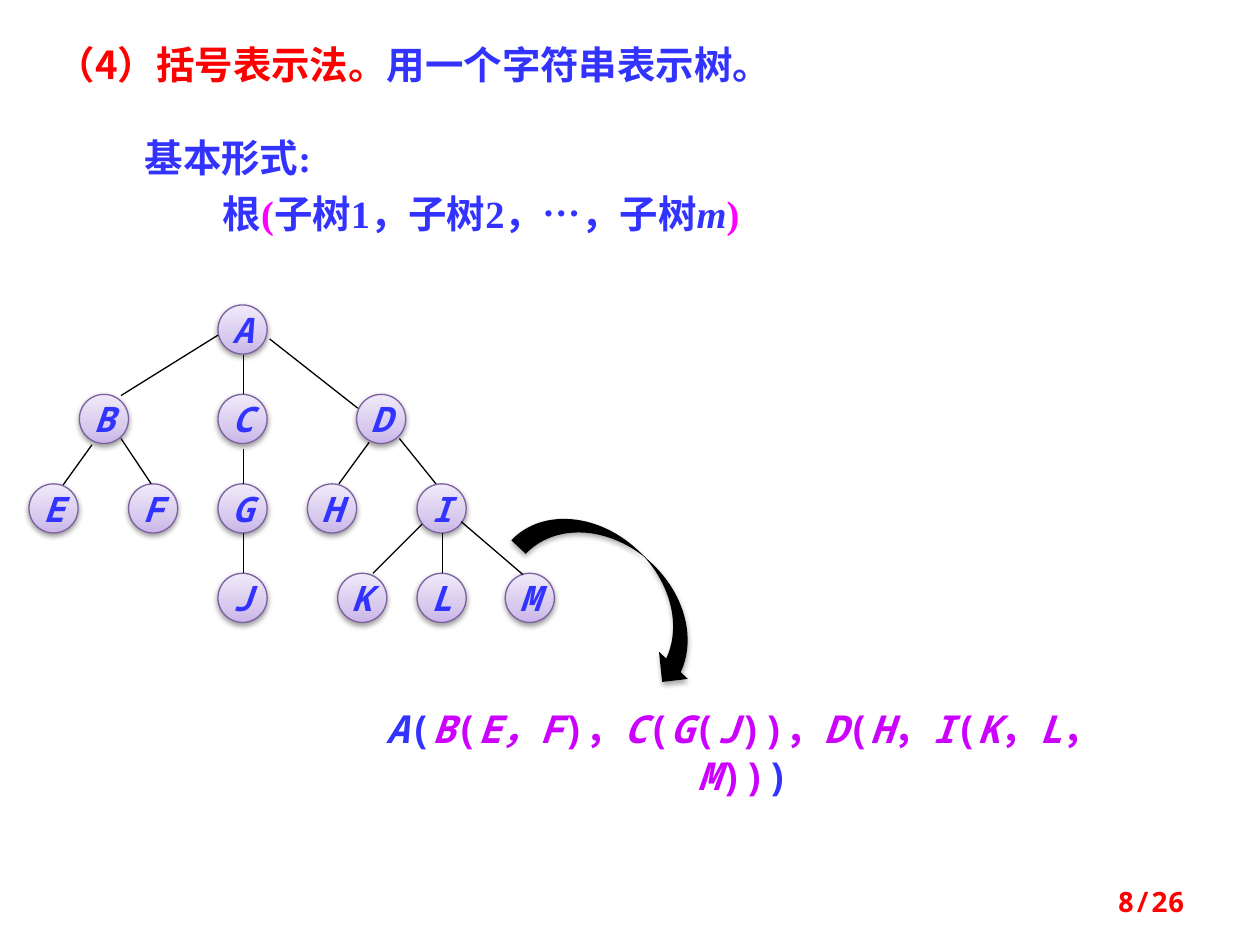
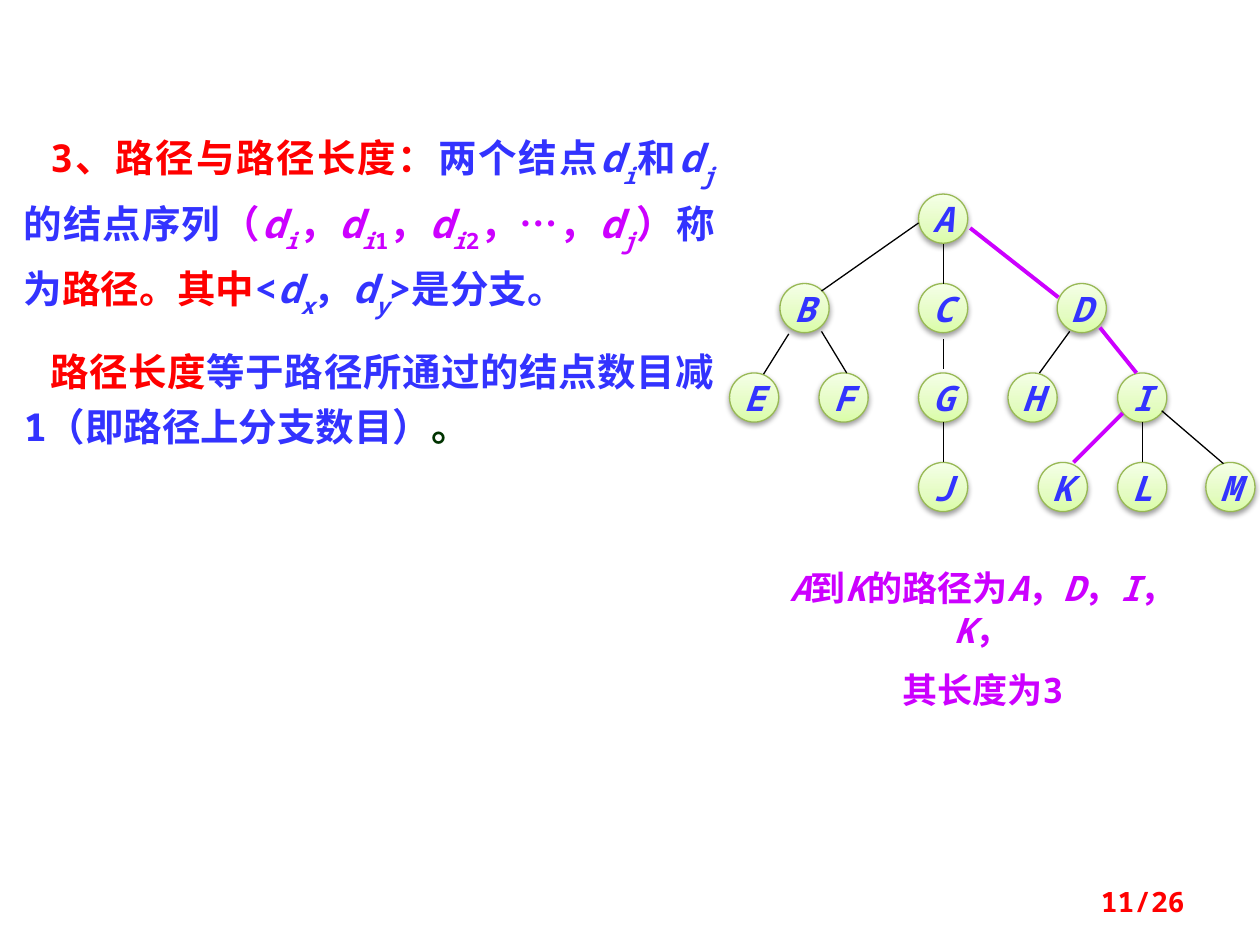
from pptx import Presentation
from pptx.dml.color import RGBColor
from pptx.enum import shapes, text
from pptx.oxml import parse_xml
from pptx.oxml.ns import nsdecls, qn
from pptx.util import Inches, Pt
from lxml import etree

BLUE = RGBColor(0x33, 0x33, 0xFF)
RED = RGBColor(0xFF, 0x00, 0x00)
PURPLE = RGBColor(0xCC, 0x00, 0xFF)
MAGENTA = RGBColor(0xFF, 0x00, 0xFF)
DARK_GREEN = RGBColor(0x00, 0x33, 0x00)
BLACK = RGBColor(0x00, 0x00, 0x00)

CJK, MONO, SERIF = "Noto Sans CJK SC", "Noto Sans Mono", "Times New Roman"
ALIGN = text.PP_ALIGN

# Gradient stops from the bottom up, then the outline
VIOLET_NODE = (("C9B5E8", "D8CBEE", "F0EAF9"), RGBColor(0x7D, 0x60, 0xA0))
GREEN_NODE = (("DAFDA7", "E4FCC2", "F5FFE7"), RGBColor(0x98, 0xB9, 0x55))

NODE_SIZE, LEVEL_STEP = 0.39, 0.71
LEVELS = [
    {"A": 1.5},
    {"B": 0.4, "C": 1.5, "D": 2.6},
    {"E": 0, "F": 0.79, "G": 1.5, "H": 2.21, "I": 3.08},
    {"J": 1.5, "K": 2.45, "L": 3.08, "M": 3.78},
]
# Start and end of each branch, from the top left of the tree
BRANCHES = {
    "AB": (1.5, 0.24, 0.73, 0.72), "AC": (1.7, 0.4, 1.7, 0.71),
    "AD": (1.91, 0.27, 2.61, 0.82), "BE": (0.5, 1.11, 0.27, 1.43),
    "BF": (0.73, 1.06, 0.97, 1.42), "CG": (1.7, 1.14, 1.7, 1.42),
    "GJ": (1.7, 1.81, 1.7, 2.13), "DH": (2.7, 1.09, 2.46, 1.42),
    "DI": (2.94, 1.06, 3.23, 1.42), "IK": (3.12, 1.74, 2.73, 2.13),
    "IL": (3.28, 1.81, 3.28, 2.13), "IM": (3.43, 1.72, 3.92, 2.14),
}
PATH_TREE_BRANCHES = BRANCHES | {
    "AB": (1.5, 0.23, 0.73, 0.77), "BE": (0.47, 1.11, 0.27, 1.43),
    "BF": (0.73, 1.09, 0.93, 1.42), "CG": (1.7, 1.15, 1.7, 1.39),
}


def apply(target, values):
    for name, value in values.items():
        setattr(target, name, value)


def add_run(paragraph, words, color, font=MONO, size=22, italic=False):
    run = paragraph.add_run()
    run.text = words
    apply(run.font, {"name": font, "size": Pt(size), "bold": True, "italic": italic})
    run.font.color.rgb = color
    properties = run._r.get_or_add_rPr()
    etree.SubElement(properties, qn("a:ea")).set("typeface", CJK)
    return run


def write(paragraph, parts, font=MONO, size=22, **formats):
    """Write (colour, words[, font]) parts; | toggles italic, a leading _ lowers a piece."""
    apply(paragraph, formats)
    for color, words, *own_font in parts:
        for index, piece in enumerate(words.split("|")):
            if piece:
                run = add_run(paragraph, piece.removeprefix("_"), color,
                              own_font[0] if own_font else font, size, index % 2 == 1)
                if piece.startswith("_"):
                    run._r.get_or_add_rPr().set("baseline", "-30000")


def add_text(slide, box, paragraphs, anchor=text.MSO_ANCHOR.TOP, **formats):
    """Add a text box; space before applies from its second paragraph on."""
    frame = slide.shapes.add_textbox(*map(Inches, box)).text_frame
    apply(frame, {"word_wrap": True, "vertical_anchor": anchor})
    for index, parts in enumerate(paragraphs):
        paragraph = frame.add_paragraph() if index else frame.paragraphs[0]
        write(paragraph, parts, **formats)
        if index == 0:
            paragraph.space_before = Pt(0)
    return frame


def set_indent(paragraph, **indents):
    for name, inches in indents.items():
        paragraph._p.get_or_add_pPr().set(name, str(Inches(inches)))


def add_shadow(shape, alpha):
    shape.shadow.inherit = False
    shape._element.spPr.find(qn("a:effectLst")).append(parse_xml(
        f'<a:outerShdw {nsdecls("a")} blurRad="40000" dist="20000" dir="5400000" '
        f'rotWithShape="0"><a:srgbClr val="000000"><a:alpha val="{alpha * 1000}"/>'
        '</a:srgbClr></a:outerShdw>'))


def add_node(slide, left, top, letter, style):
    stops, outline = style
    node = slide.shapes.add_shape(shapes.MSO_SHAPE.OVAL, *map(
        Inches, (left, top, NODE_SIZE, NODE_SIZE)))
    gradient = "".join(f'<a:gs pos="{position}000"><a:srgbClr val="{color}"/></a:gs>'
                       for position, color in zip((0, 35, 100), stops))
    node._element.spPr.find(qn("a:prstGeom")).addnext(parse_xml(
        f'<a:gradFill {nsdecls("a")} rotWithShape="1"><a:gsLst>{gradient}</a:gsLst>'
        '<a:lin ang="16200000" scaled="0"/></a:gradFill>'))
    node.line.color.rgb = outline
    node.line.width = Pt(0.75)
    add_shadow(node, 38)
    frame = node.text_frame
    apply(frame, {"word_wrap": False, "vertical_anchor": text.MSO_ANCHOR.MIDDLE})
    write(frame.paragraphs[0], [(BLUE, f"|{letter}|")], size=20, alignment=ALIGN.CENTER)


def add_branch(slide, ends, color, width):
    branch = slide.shapes.add_connector(
        shapes.MSO_CONNECTOR.STRAIGHT, *map(Inches, ends))
    branch.line.color.rgb = color
    branch.line.width = Pt(width)
    etree.SubElement(branch._element.spPr, qn("a:effectLst"))


def add_tree(slide, left, top, style, branches, moved=None, marked=()):
    """Draw the tree; moved gives other node offsets, marked lists path branches."""
    for level, nodes in enumerate(LEVELS):
        for letter, offset in nodes.items():
            offset = (moved or {}).get(letter, offset)
            add_node(slide, left + offset, top + level * LEVEL_STEP, letter, style)
    for name, (x1, y1, x2, y2) in branches.items():
        color, width = (PURPLE, 2.25) if name in marked else (BLACK, 0.75)
        add_branch(slide, (left + x1, top + y1, left + x2, top + y2), color, width)


def add_page_number(slide, number):
    add_text(slide, (7.17, 6.95, 2.33, 0.4), [[(RED, f"{number}/26")]],
             anchor=text.MSO_ANCHOR.MIDDLE, size=16, alignment=ALIGN.RIGHT)


def set_title(slide, box, parts):
    title = slide.shapes.title
    apply(title, dict(zip(("left", "top", "width", "height"), map(Inches, box))))
    apply(title.text_frame, {"vertical_anchor": text.MSO_ANCHOR.TOP, "word_wrap": True,
                             "auto_size": text.MSO_AUTO_SIZE.NONE})
    write(title.text_frame.paragraphs[0], parts, font=SERIF,
          alignment=ALIGN.LEFT, line_spacing=Pt(32))


def add_curved_arrow(slide, box):
    arrow = slide.shapes.add_shape(shapes.MSO_SHAPE.CURVED_DOWN_ARROW, *map(Inches, box))
    arrow.rotation = 43.2
    arrow.fill.solid()
    arrow.fill.fore_color.rgb = BLACK
    arrow.line.fill.background()
    add_shadow(arrow, 35)


def build_bracket_slide(presentation):
    slide = presentation.slides.add_slide(presentation.slide_layouts[5])
    set_title(slide, (0.35, 0.2, 8.94, 0.55), [
        (RED, "（4）括号表示法。", CJK), (BLUE, "用一个字符串表示树。")])
    form = add_text(slide, (0.35, 0.94, 8.94, 0.97), [
        [(BLUE, "基本形式:")],
        [(BLUE, "根"), (MAGENTA, "("), (BLUE, "子树1，子树2，"), (BLUE, "…，", CJK),
         (BLUE, "子树|m|"), (MAGENTA, ")")],
    ], font=SERIF, line_spacing=Pt(32))
    for paragraph, indent in zip(form.paragraphs, (0.7, 1.32)):
        set_indent(paragraph, marL=indent)
    add_tree(slide, 0.23, 2.42, VIOLET_NODE, BRANCHES)
    add_text(slide, (2.66, 5.55, 6.48, 0.47), [[
        (BLUE, "|A|("),
        (PURPLE, "|B|(|E，F|)，|C|(|G|(|J|))，|D|(|H|，|I|(|K|，|L|，|M|))"),
        (BLUE, ")"),
    ]], alignment=ALIGN.CENTER)
    add_curved_arrow(slide, (4.03, 4.36, 1.8, 0.63))
    add_page_number(slide, 8)


def build_path_slide(presentation):
    slide = presentation.slides.add_slide(presentation.slide_layouts[6])
    definition = add_text(slide, (0.09, 0.93, 5.68, 2.51), [
        [(RED, "3、路径与路径长度："),
         (BLUE, "两个结点|d||_i|和|d||_j|的结点序列"),
         (PURPLE, "（|d||_i|，|d||_i|_1||，|d||_i|_2||，…，|d||_j|）"),
         (BLUE, "称为"), (RED, "路径。其中"),
         (BLUE, "<|d||_x|，|d||_y|>是分支。")],
        [(RED, "路径长度"),
         (BLUE, "等于路径所通过的结点数目减1（即路径上分支数目）"),
         (DARK_GREEN, "。")],
    ], alignment=ALIGN.JUSTIFY, line_spacing=1.2, space_before=Pt(11))
    for paragraph in definition.paragraphs:
        set_indent(paragraph, indent=0.21)
        paragraph._p.get_or_add_pPr().set("hangingPunct", "0")
    add_tree(slide, 5.79, 1.54, GREEN_NODE, PATH_TREE_BRANCHES,
             moved={"F": 0.71}, marked=("AD", "DI", "IK"))
    add_text(slide, (6.03, 4.45, 3.54, 0.93), [
        [(PURPLE, "|A|到|K|的路径为|A|，|D|，|I|，|K|，")],
        [(PURPLE, "其长度为3")],
    ], size=20, alignment=ALIGN.CENTER, space_before=Pt(10))
    add_page_number(slide, 11)


def main():
    presentation = Presentation()
    presentation.slide_width, presentation.slide_height = Inches(10), Inches(7.5)
    build_bracket_slide(presentation)
    build_path_slide(presentation)
    presentation.save("out.pptx")


if __name__ == "__main__":
    main()
